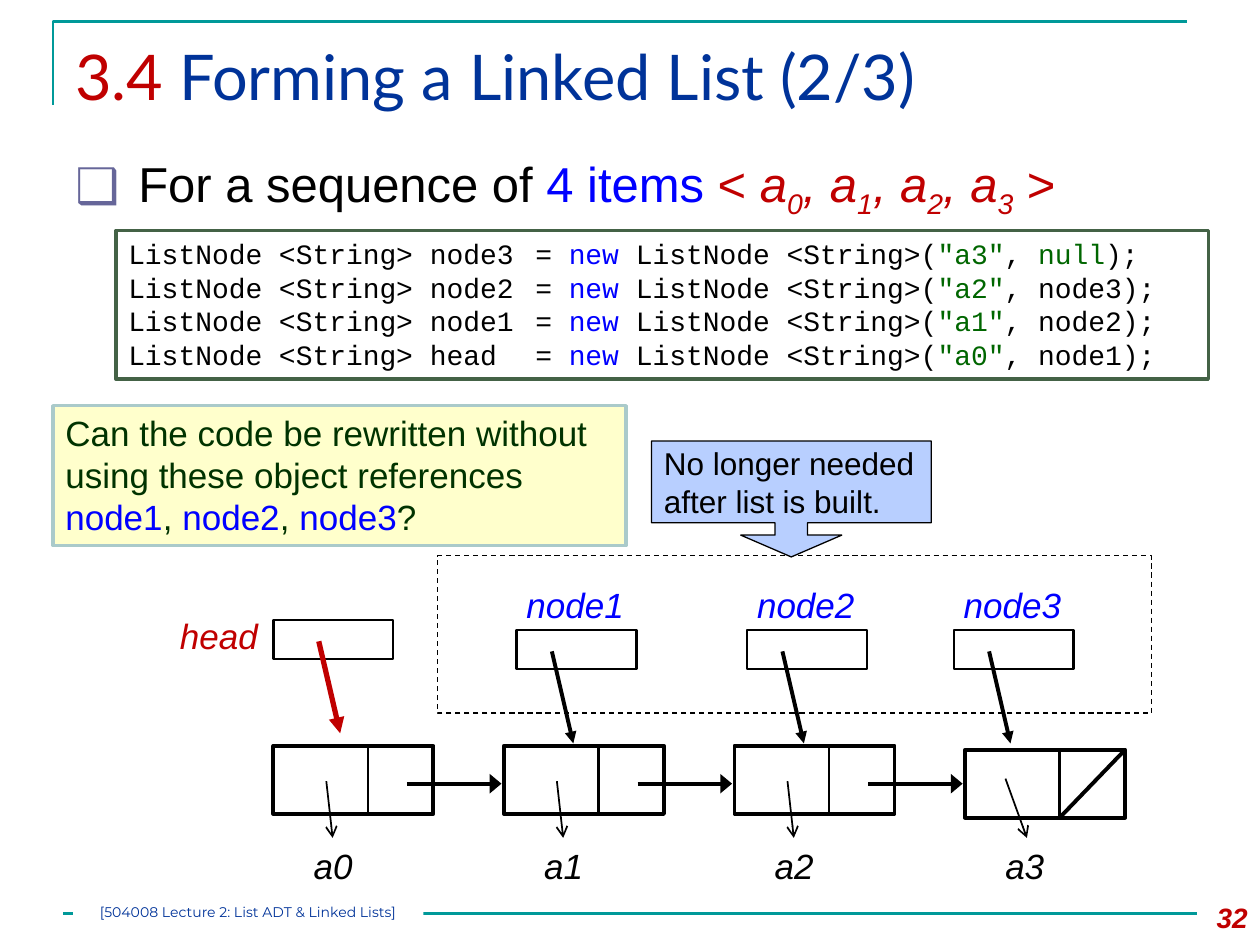
from lxml import etree
from pptx import Presentation
from pptx.dml.color import RGBColor
from pptx.enum.dml import MSO_LINE
from pptx.enum.shapes import MSO_CONNECTOR, MSO_SHAPE
from pptx.enum.text import MSO_ANCHOR, PP_ALIGN
from pptx.oxml.ns import qn
from pptx.util import Inches, Pt

RECTANGLE = MSO_SHAPE.RECTANGLE
CALLOUT = MSO_SHAPE.DOWN_ARROW_CALLOUT
STRAIGHT = MSO_CONNECTOR.STRAIGHT
DASH = MSO_LINE.DASH
TOP, MIDDLE = MSO_ANCHOR.TOP, MSO_ANCHOR.MIDDLE
LEFT, CENTER, RIGHT = PP_ALIGN.LEFT, PP_ALIGN.CENTER, PP_ALIGN.RIGHT
BLACK, WHITE, BLUE, RED = "000000", "FFFFFF", "0000FF", "C00000"
NAVY, GREEN, DARK_GREEN, TEAL = "003399", "006600", "003300", "009999"


def color(value):
    """Turn a hex string into a colour."""
    return RGBColor.from_string(value)


def add_line(page, start, end, width, line=BLACK, tail=None, tail_width="med"):
    """Draw a straight line, with an arrowhead at its end if one is named."""
    connector = page.shapes.add_connector(STRAIGHT, *map(Inches, start + end))
    connector.line.color.rgb = color(line)
    connector.line.width = Pt(width)
    properties = connector._element.spPr
    if tail:
        outline = properties.find(qn("a:ln"))
        etree.SubElement(outline, qn("a:tailEnd"), type=tail, w=tail_width)
    etree.SubElement(properties, qn("a:effectLst"))


def style(shape, fill=None, line=None, width=1.0):
    """Set the fill and outline of a shape and remove its shadow."""
    shape.shadow.inherit = False
    if fill:
        shape.fill.solid()
        shape.fill.fore_color.rgb = color(fill)
    else:
        shape.fill.background()
    if line:
        shape.line.color.rgb = color(line)
        shape.line.width = Pt(width)
    else:
        shape.line.fill.background()


def add_box(page, box, fill=None, line=None, width=1.0, kind=RECTANGLE):
    """Add a preset shape in the given box."""
    shape = page.shapes.add_shape(kind, *map(Inches, box))
    style(shape, fill, line, width)
    return shape


def write(shape, paragraphs, size, font="Arial", align=LEFT, anchor=TOP,
          wrap=True, **formats):
    """Fill a shape with paragraphs of (text, colour) spans."""
    frame = shape.text_frame
    frame.word_wrap = wrap
    frame.vertical_anchor = anchor
    for index, spans in enumerate(paragraphs):
        para = frame.add_paragraph() if index else frame.paragraphs[0]
        para.alignment = align
        for text, ink in spans:
            if text == "\n":
                para.add_line_break()
                continue
            span = para.add_run()
            span.text = text
            span.font.size = Pt(size)
            span.font.name = font
            span.font.color.rgb = color(ink)
            for name, value in formats.items():
                setattr(span.font, name, value)
    return frame.paragraphs


def add_text(page, box, paragraphs, size, **options):
    """Add a text box with formatted spans."""
    return write(page.shapes.add_textbox(*map(Inches, box)), paragraphs, size, **options)


def add_title(page, box):
    """Draw the corner rule and the title."""
    left, top, width, height = box
    builder = page.shapes.build_freeform(Inches(left), Inches(top + height))
    builder.add_line_segments(
        [(Inches(left), Inches(top)), (Inches(left + width), Inches(top))], close=False)
    style(builder.convert_to_shape(), None, TEAL, 1.5)
    add_text(page, (left + 0.08, top + 0.08, width, 0.86),
             [[("3.4 ", RED), ("Forming a Linked List (2/3)", NAVY)]], 36, font="Lato")


def add_heading(page, box):
    """Write the bulleted sequence with subscripts."""
    spans = [("For a sequence of ", BLACK), ("4 items ", BLUE), ("<", RED)]
    for index in range(4):
        spans += [(", a" if index else " a", RED), (str(index), RED)]
    para = add_text(page, box, [spans + [(" >", RED)]], 28)[0]
    properties = para._p.get_or_add_pPr()
    properties.set("marL", str(Inches(0.5)))
    properties.set("indent", str(-Inches(0.5)))
    bullet_color = etree.SubElement(properties, qn("a:buClr"))
    etree.SubElement(bullet_color, qn("a:srgbClr"), val="666699")
    etree.SubElement(properties, qn("a:buFont"), typeface="Arial")
    etree.SubElement(properties, qn("a:buChar"), char="❑")
    for span in para.runs[3:-1]:
        span.font.italic = True
        if span.text.isdigit():
            span._r.get_or_add_rPr().set("baseline", "-25000")


def add_code(page, box):
    """Write the code that builds the list."""
    rows = [("node3", "a3", "null", GREEN), ("node2", "a2", "node3", BLACK),
            ("node1", "a1", "node2", BLACK), ("head", "a0", "node1", BLACK)]
    lines = [[(f"ListNode <String> {name}\t= ", BLACK), ("new", BLUE),
              (" ListNode <String>(", BLACK), (f'"{item}"', GREEN), (", ", BLACK),
              (following, ink), (");", BLACK)] for name, item, following, ink in rows]
    shape = add_box(page, box, WHITE, "446246", 2)
    for para in write(shape, lines, 16, font="Courier New"):
        tabs = etree.SubElement(para._p.get_or_add_pPr(), qn("a:tabLst"))
        etree.SubElement(tabs, qn("a:tab"), pos=str(Inches(3.23)), algn="l")


def add_question(page, box):
    """Write the question about the object references."""
    spans = [("Can the code be rewritten without using these object references ", DARK_GREEN),
             ("node1", BLUE), (", ", DARK_GREEN), ("node2", BLUE), (", ", DARK_GREEN),
             ("node3", BLUE), ("?", DARK_GREEN)]
    write(add_box(page, box, "FFFFCC", "AACACA", 2), [spans], 20)


def add_temporary_frame(page, box):
    """Draw the dashed frame with the callout above it."""
    left, top = box[:2]
    add_box(page, box, None, BLACK, 0.75).line.dash_style = DASH
    callout = add_box(page, (left + 1.7, top - 0.91, 2.22, 0.92), "B8CFFF", BLACK, 0.75, CALLOUT)
    for index, value in enumerate((0.28, 0.436, 0.188, 0.705)):
        callout.adjustments[index] = value
    write(callout, [[("No longer needed ", BLACK), ("\n", BLACK), ("after list is built.", BLACK)]],
          18, anchor=MIDDLE, wrap=False)


def add_node(page, box, item, last=False):
    """Draw a list node with its item and its link."""
    left, top, width, height = box
    divider = left + 0.75
    add_box(page, box, WHITE, BLACK, 2.25)
    add_line(page, (divider, top), (divider, top + height), 1.5)
    label = add_box(page, (left + 0.22, 6.65, 0.51, 0.44), WHITE)
    write(label, [[(item, BLACK)]], 20, wrap=False, italic=True)
    if last:
        add_line(page, (left + width, top), (divider, top + height), 2.25)
        add_line(page, (left + 0.32, 6.18), (left + 0.49, 6.65), 1, tail="arrow")
    else:
        add_line(page, (left + 1.06, top + 0.3), (left + 1.81, top + 0.3), 2.25,
                 tail="triangle", tail_width="lg")
        add_line(page, (left + 0.42, 6.2), (left + 0.47, 6.65), 1, tail="arrow")


def add_reference(page, box, name, label_box, ink, line, width, offset):
    """Draw a reference variable with its label and its arrow."""
    left, top = box[:2]
    add_box(page, box, None, BLACK, 1.5)
    add_text(page, label_box, [[(name, ink)]], 20, wrap=False, italic=True)
    add_line(page, (left + offset, top + 0.17), (left + offset + 0.17, top + 0.9),
             width, line, "triangle")


def add_list(page, left, top):
    """Draw the four nodes and the references to them."""
    add_reference(page, (left, 4.92, 0.95, 0.31), "head", (left - 0.84, 4.83, 0.85, 0.43),
                  RED, RED, 3, 0.36)
    for index, reference in enumerate((left + 1.93, left + 3.76, left + 5.4), 1):
        add_reference(page, (reference, 5, 0.95, 0.31), f"node{index}",
                      (reference - 0.02, 4.58, 1.02, 0.43), BLUE, BLACK, 2.25, 0.28)
    for index in range(4):
        last = index == 3
        add_node(page, (left + 1.83 * index, top + 0.03 * last, 1.27, 0.54), f"a{index}", last)


def add_footer(page, box):
    """Draw the footer rule, the lecture name and the page number."""
    left, top, width, height = box
    add_line(page, (left, top + 0.15), (left + width, top + 0.15), 1.5, TEAL)
    label = add_box(page, (left + 0.08, top + 0.07, 2.78, 0.2), WHITE)
    frame = label.text_frame
    frame.margin_left = frame.margin_right = frame.margin_top = frame.margin_bottom = 0
    write(label, [[("[504008 Lecture 2: List ADT & Linked Lists]", NAVY)]], 8,
          font="Montserrat", align=CENTER)
    add_text(page, (left + width - 0.17, top, 0.67, height), [[("32", RED)]], 16,
             align=RIGHT, bold=True, italic=True)


def main():
    """Build the slide and save it."""
    deck = Presentation()
    deck.slide_width, deck.slide_height = Inches(10), Inches(7.5)
    page = deck.slides.add_slide(deck.slide_layouts[6])
    add_title(page, (0.42, 0.17, 9, 0.66))
    add_heading(page, (0.5, 1.17, 9, 0.67))
    add_code(page, (0.92, 1.83, 8.67, 1.18))
    add_temporary_frame(page, (3.47, 4.41, 5.67, 1.25))
    add_list(page, 2.17, 5.92)
    add_question(page, (0.42, 3.22, 4.55, 1.11))
    add_footer(page, (0.5, 7.1, 9, 0.4))
    deck.save("out.pptx")


if __name__ == "__main__":
    main()
